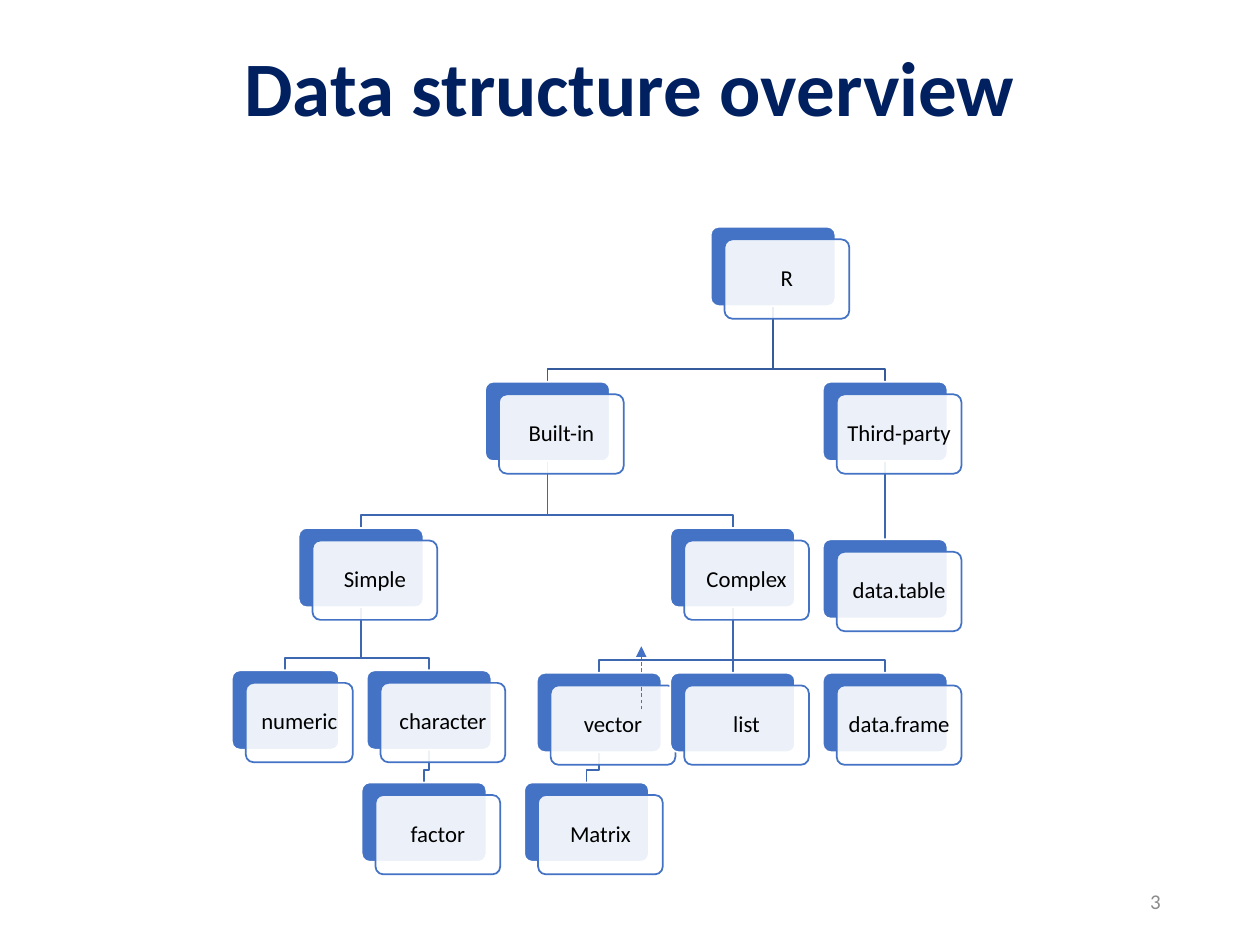
"""Build a slide with a tree of R data structures."""

from pptx import Presentation, util as u
from pptx.dml.color import RGBColor
from pptx.enum import dml, shapes, text
from pptx.oxml import parse_xml
from pptx.oxml.ns import nsdecls

HUES = {"title": "002060", "box": "4472C4", "card": "FFFFFF", "ink": "000000",
        "top": "365B9D", "link": "3E67B2", "page": "8C8C8C"}
ROWS = [1.8, 3.03, 4.19, 5.34, 6.21]
NODES = [
    ("R", None, 5.64, ROWS[0]),
    ("Built-in", "R", 3.85, ROWS[1]),
    ("Simple", "Built-in", 2.37, ROWS[2]),
    ("numeric", "Simple", 1.84, 5.32),
    ("character", "Simple", 2.91, 5.32),
    ("factor", "character", 2.87, ROWS[4]),
    ("Complex", "Built-in", 5.32, ROWS[2]),
    ("vector", "Complex", 4.26, ROWS[3]),
    ("Matrix", "vector", 4.16, ROWS[4]),
    ("list", "Complex", 5.32, ROWS[3]),
    ("data.frame", "Complex", 6.53, ROWS[3]),
    ("Third-party", "R", 6.53, ROWS[1]),
    ("data.table", "Third-party", 6.53, 4.28),
]
WIDE, HIGH, SHIFT, GAP = 0.99, 0.63, 0.1, 0.1
WIDTHS = {"numeric": 0.85}


def hue(name):
    return RGBColor.from_string(HUES[name])


def inches(*values):
    return [u.Inches(v) for v in values]


def style(frame, size, name, align, bold=False, space=0.9):
    frame.vertical_anchor = text.MSO_ANCHOR.MIDDLE
    para = frame.paragraphs[0]
    para.alignment = align
    para.line_spacing = space
    font = para.runs[0].font
    font.name, font.size, font.bold = "Calibri", u.Pt(size), bold
    font.color.rgb = hue(name)


def stroke(line, name, width=1):
    line.color.rgb = hue(name)
    line.width = u.Pt(width)


def straight(start, end):
    line = slide.shapes.add_connector(
        shapes.MSO_CONNECTOR.STRAIGHT, *inches(*start, *end))
    line._element.spPr.append(parse_xml(f"<a:effectLst {nsdecls('a')}/>"))
    return line


def link(start, end, name):
    if start[0] == end[0]:
        line = straight(start, end)
    else:
        bend = end[1] - GAP
        turns = [(start[0], bend), (end[0], bend), end]
        path = slide.shapes.build_freeform(*inches(*start))
        path.add_line_segments([inches(*turn) for turn in turns], close=False)
        line = path.convert_to_shape()
        line.fill.background()
        line.shadow.inherit = False
    stroke(line.line, name)


def box(left, top, width, fill, edge):
    shape = slide.shapes.add_shape(
        shapes.MSO_SHAPE.ROUNDED_RECTANGLE, *inches(left, top, width, HIGH))
    shape.adjustments[0] = 0.1
    shape.shadow.inherit = False
    shape.fill.solid()
    shape.fill.fore_color.rgb = hue(fill)
    stroke(shape.line, edge)
    return shape


def node(label, left, top):
    width = WIDTHS.get(label, WIDE)
    box(left, top, width, "box", "card")
    card = box(left + SHIFT + 0.01, top + SHIFT, width, "card", "box")
    tint = card.fill._xPr.solidFill[0]
    tint.append(parse_xml(f'<a:alpha {nsdecls("a")} val="90000"/>'))
    frame = card.text_frame
    frame.text = label
    frame.word_wrap = False
    frame.margin_left = frame.margin_right = u.Inches(0.07)
    style(frame, 13, "ink", text.PP_ALIGN.CENTER)


deck = Presentation()
deck.slide_width, deck.slide_height = inches(10, 7.5)
slide = deck.slides.add_slide(deck.slide_layouts[5])

title = slide.shapes.title
title.left, title.top, title.width, title.height = inches(1.84, 0, 7.92, 1.45)
title.text_frame.text = "Data structure overview"
style(title.text_frame, 44, "title", text.PP_ALIGN.LEFT, True)

page = slide.shapes.add_textbox(*inches(7.06, 6.95, 2.25, 0.4))
page.text_frame.text = "3"
page.text_frame.word_wrap = True
style(page.text_frame, 12, "page", text.PP_ALIGN.RIGHT, space=1)

spots = {label: (left + WIDTHS.get(label, WIDE) / 2, top)
         for label, _, left, top in NODES}
for label, parent, _, _ in NODES:
    if parent:
        mid, top = spots[parent]
        link((mid, top + HIGH), spots[label], "top" if parent == "R" else "link")
for label, _, left, top in NODES:
    node(label, left, top)

arrow = straight((5.09, 5.63), (5.09, 5.13))
stroke(arrow.line, "box", 0.5)
arrow.line.dash_style = dml.MSO_LINE.DASH
arrow.line._get_or_add_ln().append(
    parse_xml(f'<a:tailEnd {nsdecls("a")} type="triangle"/>'))

deck.save("out.pptx")
